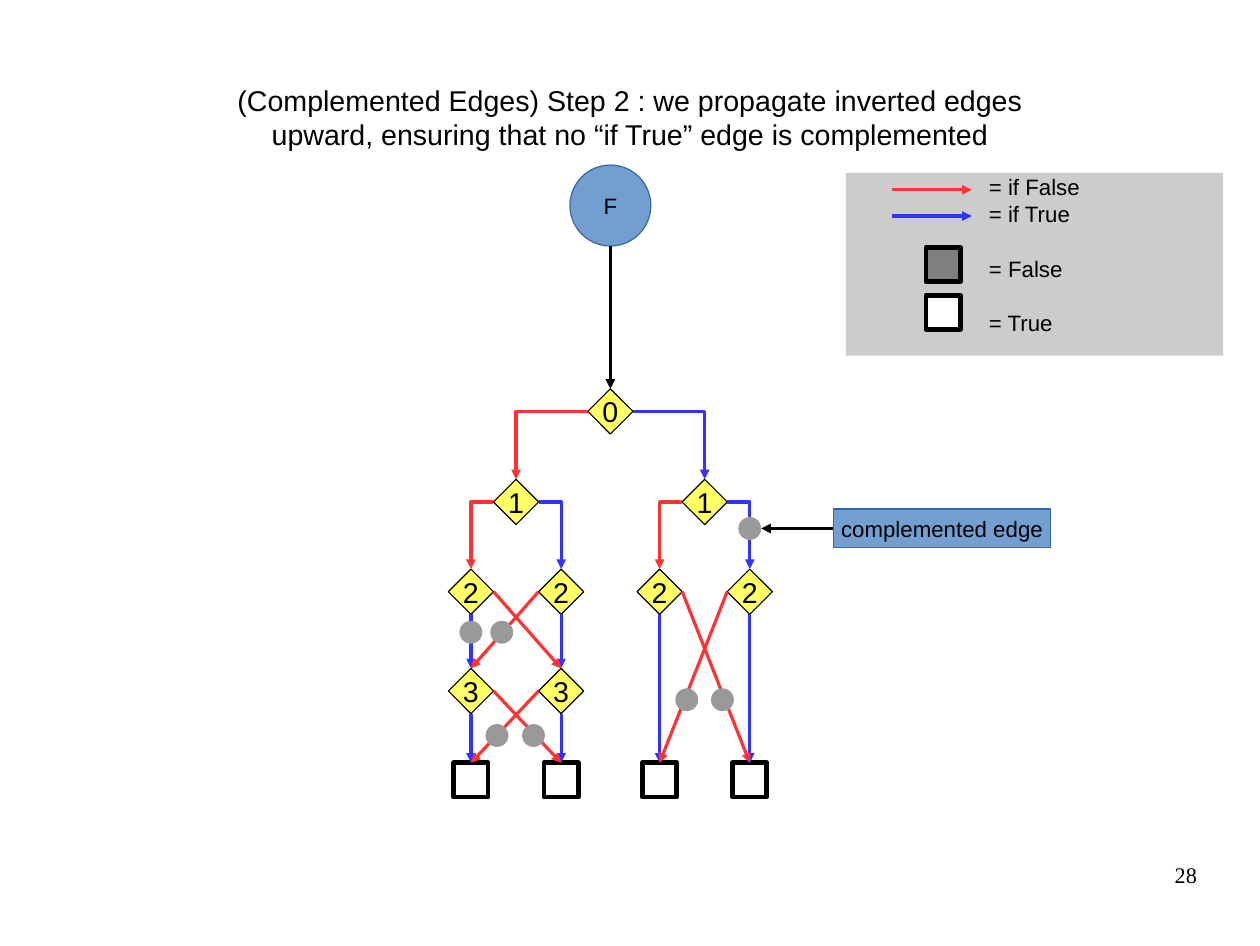
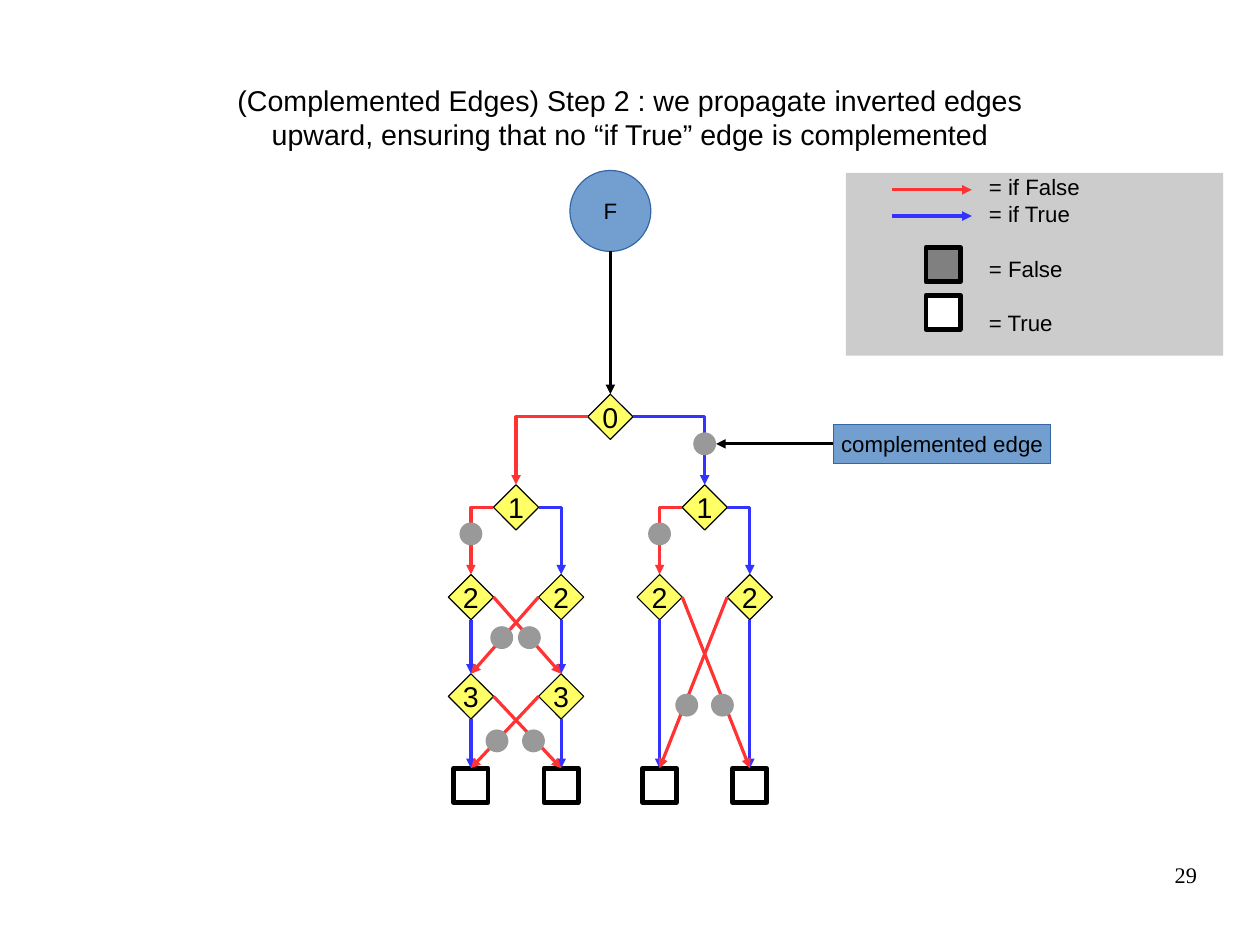
from lxml.etree import SubElement
from pptx import Presentation
from pptx.dml.color import RGBColor
from pptx.enum.shapes import MSO_CONNECTOR as LINK, MSO_SHAPE as FORM
from pptx.enum.text import MSO_ANCHOR as ANCHOR, PP_ALIGN as ALIGN
from pptx.oxml.ns import qn
from pptx.util import Pt

hue = RGBColor.from_string
BLACK, WHITE, GREY, DOT, PANEL = "000000", "FFFFFF", "808080", "999999", "CCCCCC"
RED, BLUE, SKY, NAVY, GOLD = "FF3333", "3333FF", "729FCF", "3465A4", "FFFF66"

FLAT = {"margin_left": 0, "margin_top": 0, "margin_right": 0, "margin_bottom": 0}
HEAD = {**FLAT, "word_wrap": True, "vertical_anchor": ANCHOR.MIDDLE}
LABEL = {"word_wrap": False, "vertical_anchor": ANCHOR.MIDDLE}
LEGEND = {**FLAT, "margin_left": Pt(90), "word_wrap": True, "vertical_anchor": ANCHOR.TOP}
FOOT = {**FLAT, "word_wrap": True}


def write(frame, lines, style, size, align=ALIGN.CENTER, face="Arial", gaps=(0,)):
    for key, val in style.items():
        setattr(frame, key, val)
    frame.text = "\n".join(lines)
    for para, gap in zip(frame.paragraphs, gaps):
        para.alignment = align
        para.space_before = Pt(gap)
        for key, val in {"name": face, "size": Pt(size), "bold": False}.items():
            setattr(para.font, key, val)
        para.font.color.rgb = hue(BLACK)


def draw(page, form, x, y, wide, high, fill, edge=None, width=0):
    shape = page.shapes.add_shape(
        form, Pt(x - wide / 2), Pt(y - high / 2), Pt(wide), Pt(high))
    shape.shadow.inherit = False
    shape.fill.solid()
    shape.fill.fore_color.rgb = hue(fill)
    if edge:
        shape.line.color.rgb = hue(edge)
        shape.line.width = Pt(width)
    else:
        shape.line.fill.background()
    return shape


ROOT, ARM, TWIG = 384.4, 59.4, 28.4
LEFT, RIGHT = ROOT - ARM, ROOT + ARM
COLS = [mid + side for mid in (LEFT, RIGHT) for side in (-TWIG, TWIG)]
ROWS = [259, 316, 372.5, 435]
LEAF = 491
SIDE, GEM, BALL, SPOT = 21.6, 28.5, 51, 14.4

NODES = {"r": (ROOT, 0), "a": (LEFT, 1), "b": (RIGHT, 1)}
NODES.update({key: (x, 2) for key, x in zip("cdef", COLS)})
NODES.update({key: (x, 3) for key, x in zip("gh", COLS)})
EDGES = [
    (BLUE, "rb3 ad3 bf3 cg2 dh2 gw2 hx2 ey2 fz2"),
    (RED, "ra1 ac1 be1 ch3 dg1 gx3 hw1 ez3 fy1"),
]
DOTS = [(455, 440.5), (432.5, 440.5), (313, 463), (336, 463), (316, 398)]
PAGES = [
    (28, 0, [(COLS[3], 332.7), (COLS[0], 398)]),
    (29, 3.4, [(RIGHT, 276), (COLS[0], 332.7), (COLS[2], 332.7), (333.4, 398)]),
]
TITLE = ("(Complemented Edges) Step 2 : we propagate inverted edges\v"
         "upward, ensuring that no “if True” edge is complemented")
KEYS = ["= if False", "= if True", "= False", "= True"]

deck = Presentation()
deck.slide_width, deck.slide_height = Pt(793.5), Pt(595.5)

for number, drop, marks in PAGES:
    page = deck.slides.add_slide(deck.slide_layouts[5])
    title = page.shapes.title
    spot = {"left": 39.6, "top": 23.8, "width": 714.2, "height": 99.4}
    for key, val in spot.items():
        setattr(title, key, Pt(val))
    write(title.text_frame, [TITLE], HEAD, 18)

    nodes = {}
    for key, x in zip("wxyz", COLS):
        nodes[key] = draw(page, FORM.RECTANGLE, x, LEAF + drop, SIDE, SIDE, WHITE, BLACK, 3)
    for key, (x, row) in NODES.items():
        nodes[key] = draw(page, FORM.DIAMOND, x, ROWS[row] + drop, GEM, GEM, GOLD, BLACK)
        write(nodes[key].text_frame, [str(row)], LABEL, 18)
    ball = draw(page, FORM.OVAL, ROOT, 129.4 + drop, BALL, BALL, SKY, NAVY)
    write(ball.text_frame, ["F"], LABEL, 14)

    tip = marks[0]
    note = draw(page, FORM.RECTANGLE, 593.3, tip[1] + drop, 136.8, 24.5, SKY, NAVY)
    write(note.text_frame, ["complemented edge"], LABEL, 14)

    panel = draw(page, FORM.RECTANGLE, 651.6, 166.4, 237.6, 115.2, PANEL)
    write(panel.text_frame, KEYS, LEGEND, 14, ALIGN.LEFT, gaps=(0, 0.8, 17.5, 17.5))
    for y, fill in ((166.6, GREY), (196.6, WHITE)):
        draw(page, FORM.RECTANGLE, 594, y, SIDE, SIDE, fill, BLACK, 3)

    wires = []
    for tint, names in EDGES:
        for start, goal, site in names.split():
            kind = LINK.ELBOW if goal in "abcdef" else LINK.STRAIGHT
            wire = page.shapes.add_connector(kind, 0, 0, 0, 0)
            wire.begin_connect(nodes[start], int(site))
            wire.end_connect(nodes[goal], 0)
            if kind == LINK.ELBOW:
                wire.element.spPr.find(qn("a:prstGeom")).set("prst", "bentConnector2")
            wires.append((wire, tint))
    stem = page.shapes.add_connector(
        LINK.STRAIGHT, Pt(ROOT), Pt(129.4 + BALL / 2 + drop), Pt(ROOT), Pt(ROWS[0] + drop))
    stem.end_connect(nodes["r"], 0)
    lead = page.shapes.add_connector(
        LINK.STRAIGHT, note.left, Pt(tip[1] + drop),
        Pt(tip[0] + SPOT / 2), Pt(tip[1] + drop))
    lead.begin_connect(note, 1)
    wires += [(stem, BLACK), (lead, BLACK)]
    for y, tint in ((119.5, RED), (136, BLUE)):
        wire = page.shapes.add_connector(LINK.STRAIGHT, Pt(561.6), Pt(y), Pt(612), Pt(y))
        wires.append((wire, tint))
    for wire, tint in wires:
        wire.line.color.rgb = hue(tint)
        wire.line.width = Pt(0)
        SubElement(wire.line._get_or_add_ln(), qn("a:tailEnd"), type="triangle")
        SubElement(wire.element.spPr, qn("a:effectLst"))

    for x, y in DOTS + marks:
        draw(page, FORM.OVAL, x, y + drop, SPOT, SPOT, DOT)

    foot = page.shapes.add_textbox(Pt(568.8), Pt(542.2), Pt(185), Pt(41))
    write(foot.text_frame, [str(number)], FOOT, 14, ALIGN.RIGHT, "Times New Roman")

deck.save("out.pptx")
